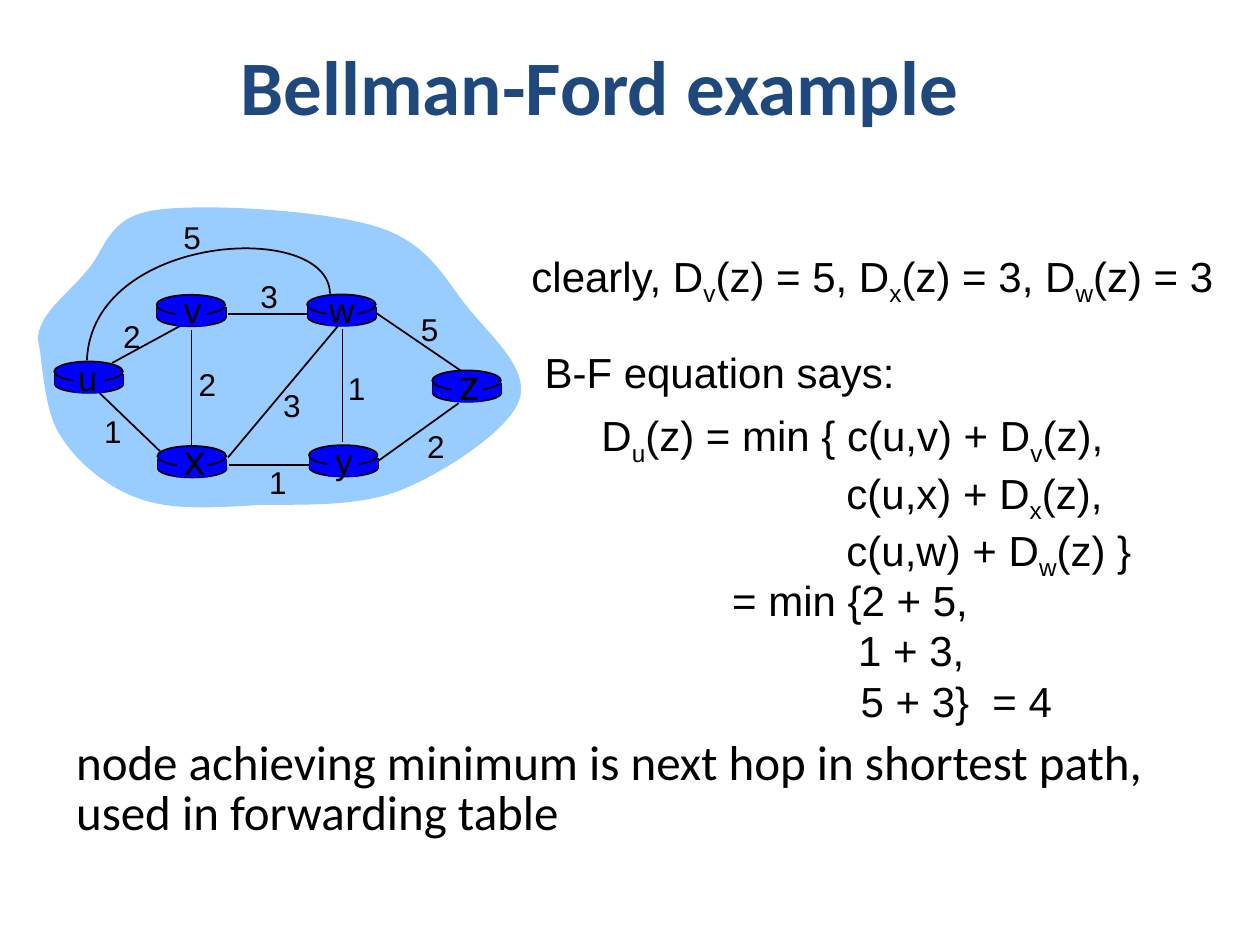
"""Build the Bellman-Ford example slide: a weighted router network and its equations."""
from lxml import etree
from pptx import Presentation
from pptx.dml.color import RGBColor
from pptx.enum.shapes import MSO_CONNECTOR, MSO_SHAPE
from pptx.enum.text import MSO_ANCHOR, PP_ALIGN
from pptx.oxml.ns import qn
from pptx.util import Pt

OVAL, BLOCK = MSO_SHAPE.OVAL, MSO_SHAPE.RECTANGLE
STRAIGHT = MSO_CONNECTOR.STRAIGHT
CENTER, LEFT = PP_ALIGN.CENTER, PP_ALIGN.LEFT
MIDDLE = MSO_ANCHOR.MIDDLE
color = RGBColor.from_string
BLACK, ROUTER_BLUE, CLOUD_BLUE, TITLE_BLUE = "000000", "0000FF", "99CCFF", "1F497D"


def add_text(shapes, box, lines, size, font="Arial", fill=BLACK, align=LEFT, wrap=True):
    """Add a text box; each line is (text, indent), and _ lowers the next letter."""
    text_box = shapes.add_textbox(*map(Pt, box))
    frame = text_box.text_frame
    frame.word_wrap = wrap
    for index, (text, indent) in enumerate(lines):
        paragraph = frame.add_paragraph() if index else frame.paragraphs[0]
        paragraph.alignment = align
        if indent:
            paragraph._p.get_or_add_pPr().set("marL", str(Pt(indent)))
        first, *rest = text.split("_")
        pieces = [(first, False)]
        for piece in rest:
            pieces += [(piece[0], True), (piece[1:], False)]
        for piece, lowered in pieces:
            run = paragraph.add_run()
            run.text = piece
            run.font.size, run.font.name = Pt(size), font
            run.font.color.rgb = color(fill)
            if lowered:
                run.font._element.set("baseline", "-25000")
    return text_box


def add_line(shapes, ends):
    """Add a thin black line between two points."""
    connector = shapes.add_connector(STRAIGHT, *map(Pt, ends))
    connector.line.color.rgb = color(BLACK)
    connector.line.width = Pt(1)
    etree.SubElement(connector._element.spPr, qn("a:effectLst"))


presentation = Presentation()
presentation.slide_width, presentation.slide_height = Pt(720), Pt(540)
slide = presentation.slides.add_slide(presentation.slide_layouts[6])

title = add_text(slide.shapes, (41.8, 13.7, 612, 69), [("Bellman-Ford example ", 0)],
                 44, "Calibri", TITLE_BLUE, CENTER)
title.text_frame.vertical_anchor = MIDDLE
title.text_frame.paragraphs[0].runs[0].font.bold = True

network = slide.shapes.add_group_shape().shapes
cloud_points = [
    (21.6, 193.7),
    (22.3, 179.3), (38.2, 168.5), (49, 155.5),
    (60.5, 143.3), (60.5, 124.6), (87.8, 120.2),
    (115.9, 115.9), (185.8, 120.2), (215.3, 129.6),
    (245.5, 139), (254.2, 159.8), (267.8, 176.4),
    (281.5, 193), (303.1, 211.7), (296.6, 229),
    (290.2, 246.2), (254.2, 270), (229, 280.1),
    (203.8, 290.2), (170.6, 288), (146.2, 288.7),
    (121, 290.2), (98.6, 291.6), (79.9, 285.1),
    (61.2, 278.6), (43.9, 264.2), (34.6, 249.1),
    (24.5, 234), (24.5, 205.2), (21.6, 193.7),
]
arc_points = [(188.6, 167.8), (187.9, 125.3), (52.6, 133.2), (49.7, 205.9)]
for points, filled in ((cloud_points, True), (arc_points, False)):
    start, *controls = [(Pt(x), Pt(y)) for x, y in points]
    builder = network.build_freeform(*start)
    builder.add_line_segments(controls, close=filled)
    curve = builder.convert_to_shape()
    curve.shadow.inherit = False
    segments = list(curve._element.iter(qn("a:lnTo")))
    for index in range(0, len(segments), 3):
        cubic = etree.Element(qn("a:cubicBezTo"))
        segments[index].addprevious(cubic)
        for segment in segments[index:index + 3]:
            cubic.append(segment[0])
            segment.getparent().remove(segment)
    if filled:
        curve.fill.solid()
        curve.fill.fore_color.rgb = color(CLOUD_BLUE)
        curve.line.fill.background()
    else:
        curve.fill.background()
        curve.line.color.rgb = color(BLACK)
        curve.line.width = Pt(1)

links = [
    (64.1, 207.4, 106.6, 184.3), (195.8, 187.9, 195.8, 252.7),
    (109.4, 188.6, 109.4, 255.6), (130.3, 261.4, 193, 186.5),
    (216, 263.5, 262.1, 230.4), (176.4, 265.7, 131, 265.7),
    (91.4, 257.8, 56.9, 224.6), (175.7, 179.3, 130.3, 179.3),
    (264.2, 212.4, 214.6, 178.6),
]
for link in links:
    add_line(network, link)

routers = [
    ("u", 31, 206.6, 20, (37.1, 200.2, 25.9)), ("x", 90, 254.9, 24, (97.9, 244.1, 26.6)),
    ("v", 89.5, 168.5, 20, (97.9, 161.3, 24.5)), ("w", 175.5, 168.3, 20, (181, 161.3, 28.8)),
    ("y", 176.5, 254.4, 20, (184.3, 247.7, 24.5)), ("z", 247, 211.7, 24, (254.9, 201.6, 26.6)),
]
router_width = 39.2
router_parts = [
    (OVAL, 0.3, 7.9, router_width, 10, True),
    (BLOCK, 0.3, 7.2, router_width, 6.3, False),
    (OVAL, 0, 0, router_width, 11.5, True),
    (BLOCK, 11, 1.5, 17.6, 16.5, False),
]
for name, left, top, size, label_box in routers:
    for side in (left + 0.3, left + router_width + 0.3):
        add_line(network, (side, top + 7.2, side, top + 13.5))
    for kind, x, y, width, height, outlined in router_parts:
        part = network.add_shape(kind, Pt(left + x), Pt(top + y), Pt(width), Pt(height))
        part.shadow.inherit = False
        part.fill.solid()
        part.fill.fore_color.rgb = color(ROUTER_BLUE)
        if outlined:
            part.line.color.rgb = color(BLACK)
            part.line.width = Pt(1)
        else:
            part.line.fill.background()
    add_text(network, (*label_box, size * 1.5), [(name, 0)], size, align=CENTER, wrap=False)

costs = [
    ("2", 63.1, 177.8), ("2", 106.3, 205.2), ("1", 52.3, 231.8), ("3", 154.5, 217),
    ("1", 146.6, 261.1), ("1", 191.5, 207.4), ("2", 236.9, 240.5), ("5", 233.3, 173.5),
    ("3", 141.5, 154.8), ("5", 97.6, 121),
]
for cost, left, top in costs:
    add_text(network, (left, top, 24.5, 28.8), [(cost, 0)], 18, align=CENTER, wrap=False)

add_text(slide.shapes, (296.6, 139.5, 411, 36.7),
         [("clearly, D_v(z) = 5, D_x(z) = 3, D_w(z) = 3", 0)], 24)
add_text(slide.shapes, (336.6, 230.6, 320.4, 123.8), [
    ("D_u(z) = min { c(u,v) + D_v(z),", 0),
    ("c(u,x) + D_x(z),", 140),
    ("c(u,w) + D_w(z) }", 140),
], 24)

conclusion = add_text(slide.shapes, (36.4, 419.8, 632.9, 64.8), [
    ("node achieving minimum is next hop in shortest path,", 0),
    ("used in forwarding table", 0),
], 28, "Calibri")
for paragraph in conclusion.text_frame.paragraphs:
    paragraph.line_spacing = 0.85

add_text(slide.shapes, (304.1, 194.4, 216, 36), [("B-F equation says:", 0)], 24)
add_text(slide.shapes, (411.3, 324.7, 215.3, 94.3),
         [("= min {2 + 5,", 0), ("1 + 3,", 72), ("5 + 3}  = 4", 73.4)], 24)

presentation.save("out.pptx")
